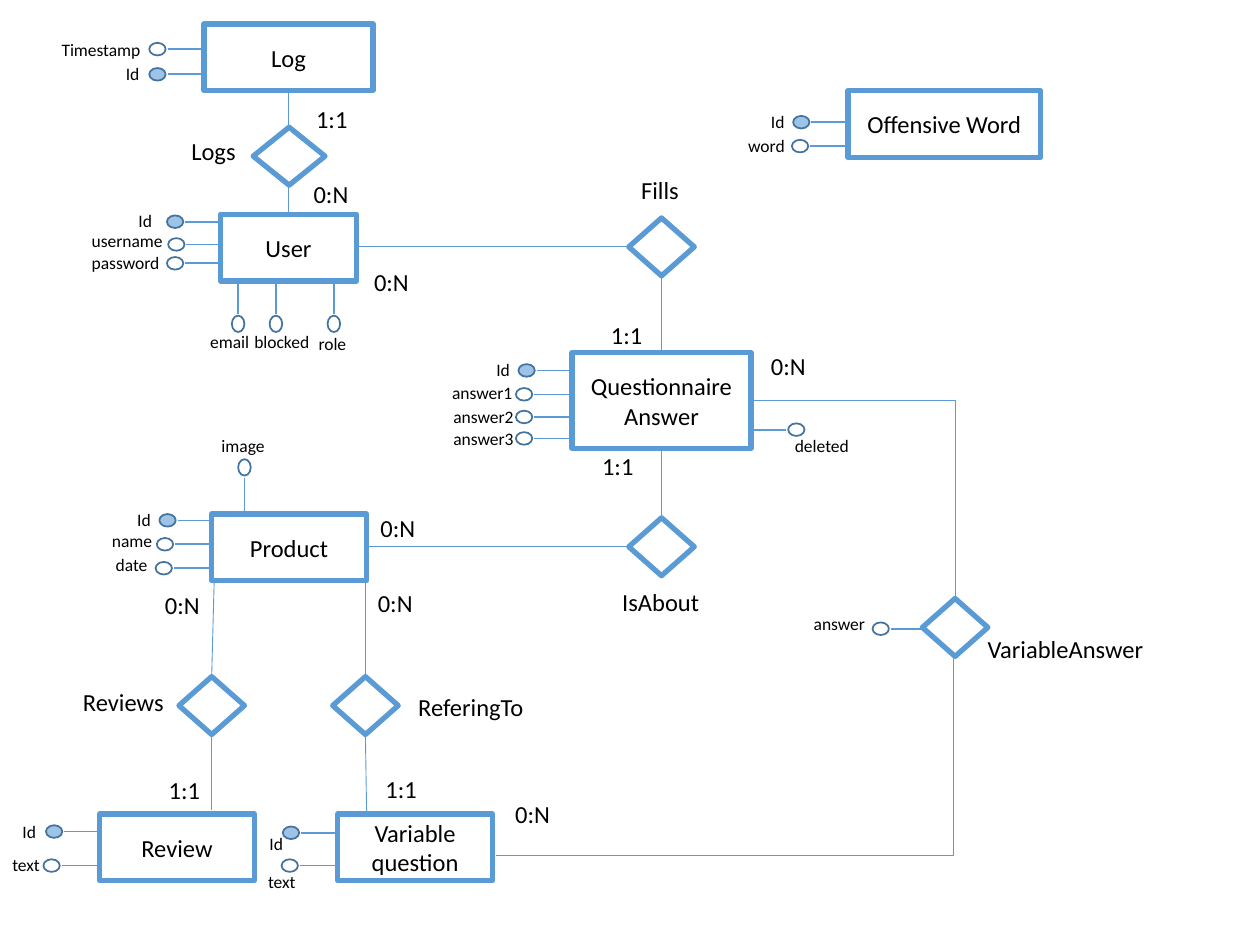
from pptx import Presentation
from pptx.dml.color import RGBColor
from pptx.enum.shapes import MSO_CONNECTOR, MSO_SHAPE
from pptx.enum.text import MSO_ANCHOR, MSO_AUTO_SIZE, PP_ALIGN
from pptx.oxml.ns import qn
from pptx.util import Inches, Pt
from lxml import etree

BLUE, OUTLINE, KEY, WHITE, BLACK = "5B9BD5", "43739E", "9DC3E6", "FFFFFF", "000000"

# Entities: paragraphs, left, top, width, height
ENTITIES = [
    (["User"], 1.75, 1.7, 1.08, 0.53),
    (["Log"], 1.62, 0.19, 1.34, 0.53),
    (["Offensive Word"], 6.73, 0.72, 1.53, 0.53),
    (["Product"], 1.68, 4.08, 1.23, 0.53),
    (["Variable question"], 2.68, 6.46, 1.23, 0.53),
    (["Questionnaire", "Answer"], 4.54, 2.8, 1.42, 0.76),
    (["Review"], 0.79, 6.46, 1.23, 0.53),
]

# Relationships: name, name left, top, width, then diamond left, top, width
RELATIONS = [
    ("Logs", 1.42, 1.03, 0.77, 2.01, 1.01, 0.57),
    ("Fills", 4.99, 1.34, 0.77, 4.99, 1.73, 0.52),
    ("ReferingTo", 3.22, 5.44, 1.15, 2.64, 5.37, 0.52),
    ("Reviews", 0.56, 5.4, 1.62, 1.42, 5.37, 0.52),
    ("IsAbout", 4.84, 4.61, 0.9, 4.99, 4.11, 0.52),
    ("VariableAnswer", 7.74, 4.98, 1.45, 7.32, 4.75, 0.52),
]

# Straight links: x1, y1, x2, y2
LINKS = [
    (2.29, 0.72, 2.29, 1.01), (2.29, 1.47, 2.29, 1.7),
    (2.83, 1.96, 4.99, 1.96), (5.25, 2.19, 5.25, 2.8),
    (5.25, 4.11, 5.25, 3.56), (2.91, 4.34, 4.99, 4.34),
    (1.68, 5.37, 1.7, 4.6), (1.68, 6.43, 1.68, 5.83),
    (2.9, 5.36, 2.9, 4.61), (2.91, 6.46, 2.9, 5.83),
]

# Elbow links: ends, preset, adjustment
ELBOWS = [
    ((3.94, 6.79, 7.57, 5.23), "bentConnector3", 99900),
    ((5.96, 3.18, 7.58, 4.75), "bentConnector2", None),
]

# Cardinalities: left and top of each label
CARDINALITIES = {
    "1:1": (0.45, [(2.41, 0.78), (2.96, 6.09), (4.68, 3.53), (4.75, 2.49), (1.24, 6.1)]),
    "0:N": (0.48, [(2.39, 1.37), (2.9, 4.62), (2.87, 2.07), (2.92, 4.02),
                   (1.21, 4.63), (6.02, 2.74), (3.99, 6.29)]),
}

# Attributes by stem direction: name, label left, top, width, oval centre x, y
ATTRIBUTES = {
    "right": [
        ("Timestamp", 0.39, 0.26, 0.94, 1.25, 0.39),
        ("Id", 0.9, 0.45, 0.42, 1.25, 0.59),
        ("Id", 1, 1.62, 0.42, 1.39, 1.76),
        ("username", 0.63, 1.78, 0.94, 1.4, 1.94),
        ("password", 0.63, 1.95, 0.94, 1.39, 2.09),
        ("Id", 3.84, 2.8, 0.42, 4.18, 2.94),
        ("answer1", 3.49, 2.98, 0.85, 4.16, 3.13),
        ("answer2", 3.5, 3.17, 0.85, 4.16, 3.31),
        ("answer3", 3.5, 3.35, 0.85, 4.16, 3.48),
        ("Id", 6.02, 0.83, 0.42, 6.36, 0.97),
        ("word", 5.84, 1.02, 0.66, 6.35, 1.16),
        ("Id", 0.99, 3.99, 0.42, 1.33, 4.13),
        ("name", 0.79, 4.16, 0.74, 1.31, 4.32),
        ("date", 0.82, 4.35, 0.74, 1.3, 4.51),
        ("Id", 0.08, 6.47, 0.42, 0.43, 6.6),
        ("text", 0, 6.73, 0.67, 0.41, 6.87),
        ("Id", 2.04, 6.56, 0.42, 2.31, 6.61),
        ("text", 2.03, 6.86, 0.67, 2.3, 6.87),
        ("answer", 6.36, 4.82, 0.67, 6.99, 4.99),
    ],
    "up": [
        ("email", 1.57, 2.58, 0.7, 1.89, 2.57),
        ("blocked", 1.92, 2.58, 0.7, 2.19, 2.57),
        ("role", 2.43, 2.59, 0.7, 2.65, 2.57),
    ],
    "left": [("deleted", 6.21, 3.4, 0.85, 6.32, 3.41)],
    "down": [("image", 1.66, 3.4, 0.74, 1.94, 3.71)],
}
# Unit vector and oval rotation of each direction
DIRECTIONS = {"right": (1, 0, 0), "down": (0, 1, 90), "left": (-1, 0, 180), "up": (0, -1, 270)}
STEM_START, STEM_END = 0.08, 0.36
OVAL_W, OVAL_H = 0.13, 0.1

prs = Presentation()
prs.slide_width, prs.slide_height = Inches(10), Inches(7.5)
s = prs.slides.add_slide(prs.slide_layouts[6])


def rgb(color):
    return RGBColor.from_string(color)


def add_run(p, text, size):
    r = p.add_run()
    r.text = text
    r.font.name, r.font.size = "Calibri", Pt(size)
    r.font.color.rgb = rgb(BLACK)


def add_box(kind, x, y, w, h, fill=WHITE, line=BLUE, width=3):
    sp = s.shapes.add_shape(kind, Inches(x), Inches(y), Inches(w), Inches(h))
    sp.shadow.inherit = False
    sp.fill.solid()
    sp.fill.fore_color.rgb = rgb(fill)
    sp.line.color.rgb = rgb(line)
    sp.line.width = Pt(width)
    return sp


def add_line(x1, y1, x2, y2, width=0.5, kind=MSO_CONNECTOR.STRAIGHT):
    cx = s.shapes.add_connector(kind, Inches(x1), Inches(y1), Inches(x2), Inches(y2))
    cx.line.color.rgb = rgb(BLUE)
    cx.line.width = Pt(width)
    etree.SubElement(cx._element.spPr, qn("a:effectLst"))
    return cx


def add_label(text, x, y, w, h=0.34, size=14, wrap=True):
    tf = s.shapes.add_textbox(Inches(x), Inches(y), Inches(w), Inches(h)).text_frame
    tf.word_wrap = wrap
    tf.auto_size = MSO_AUTO_SIZE.SHAPE_TO_FIT_TEXT
    add_run(tf.paragraphs[0], text, size)


# Entities
for lines, *box in ENTITIES:
    tf = add_box(MSO_SHAPE.RECTANGLE, *box).text_frame
    tf.word_wrap = True
    tf.vertical_anchor = MSO_ANCHOR.MIDDLE
    for i, text in enumerate(lines):
        p = tf.add_paragraph() if i else tf.paragraphs[0]
        p.alignment = PP_ALIGN.CENTER
        add_run(p, text, 14)

# Relationships
for name, x, y, w, left, top, width in RELATIONS:
    add_box(MSO_SHAPE.DIAMOND, left, top, width, 0.46)
    add_label(name, x, y, w)

# Links
for ends in LINKS:
    add_line(*ends)
for ends, preset, adjust in ELBOWS:
    geom = add_line(*ends, kind=MSO_CONNECTOR.ELBOW)._element.spPr.find(qn("a:prstGeom"))
    geom.set("prst", preset)
    if adjust:
        guides = geom.find(qn("a:avLst"))
        if guides is None:
            guides = etree.SubElement(geom, qn("a:avLst"))
        etree.SubElement(guides, qn("a:gd"), name="adj1", fmla=f"val {adjust}")

# Cardinalities
for text, (w, spots) in CARDINALITIES.items():
    for x, y in spots:
        add_label(text, x, y, w, wrap=False)

# Attributes
for direction, attributes in ATTRIBUTES.items():
    dx, dy, angle = DIRECTIONS[direction]
    for name, x, y, w, cx, cy in attributes:
        add_line(cx + dx * STEM_START, cy + dy * STEM_START,
                 cx + dx * STEM_END, cy + dy * STEM_END, width=1)
        oval = add_box(MSO_SHAPE.OVAL, cx - OVAL_W / 2, cy - OVAL_H / 2, OVAL_W, OVAL_H,
                       KEY if name == "Id" else WHITE, OUTLINE, 1)
        oval.rotation = angle
        add_label(name, x, y, w, 0.27, 10)

prs.save("out.pptx")
